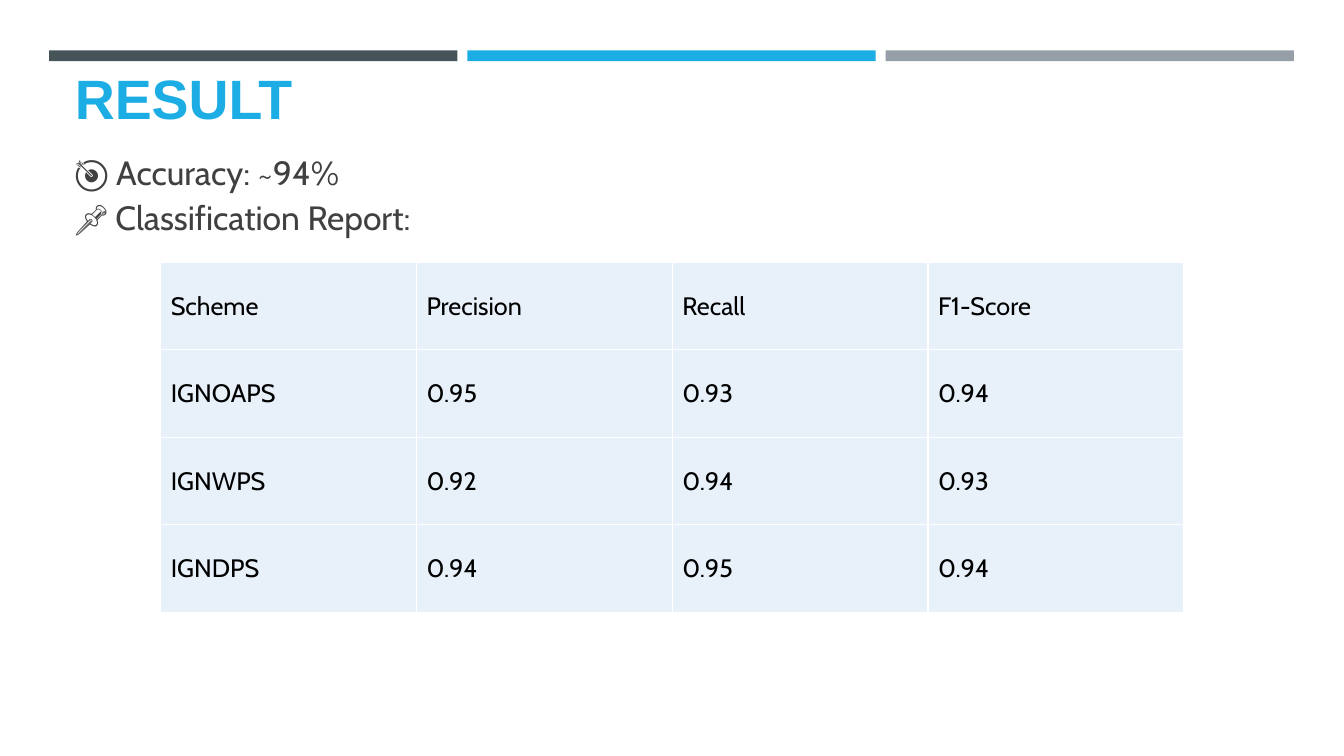
import pptx
import pptx.dml.color
import pptx.enum.shapes
import pptx.enum.text
import pptx.util
from pptx.util import Cm

THEME = {
    "dark": "465359", "accent": "1CADE4", "grey": "969FA7", "cell": "E8F1FA",
    "title": {"name": "Arial", "size": 39.6, "bold": True, "color": "1CADE4"},
    "body": {"name": "Cabin", "size": 24, "bold": False, "color": "404040"},
    "table": {"name": "Cabin", "size": 18, "bold": False, "color": "000000"},
}


def paint(fill, color):
    fill.solid()
    fill.fore_color.rgb = pptx.dml.color.RGBColor.from_string(color)


def write(text_frame, text, style):
    text_frame.text = text
    values = {"name": style["name"], "size": pptx.util.Pt(style["size"]), "bold": style["bold"]}
    for run in text_frame.paragraphs[0].runs:
        for attribute, value in values.items():
            setattr(run.font, attribute, value)
        paint(run.font.fill, style["color"])


presentation = pptx.Presentation()
presentation.slide_width, presentation.slide_height = Cm(33.87), Cm(19.05)
slide = presentation.slides.add_slide(presentation.slide_layouts[5])

# Bars across the top
for index, color in enumerate(("dark", "accent", "grey")):
    bar = slide.shapes.add_shape(
        pptx.enum.shapes.MSO_SHAPE.RECTANGLE,
        Cm(1.24 + index * 10.54), Cm(1.27), Cm(10.29), Cm(0.27))
    bar.shadow.inherit = False
    bar.line.fill.background()
    paint(bar.fill, THEME[color])

# Title
title = slide.shapes.title
title.left, title.top, title.width, title.height = Cm(1.63), Cm(1.96), Cm(30.63), Cm(1.47)
write(title.text_frame, "RESULT", THEME["title"])

# Accuracy and report heading, two lines of one paragraph
summary = slide.shapes.add_textbox(Cm(1.63), Cm(3.61), Cm(25.25), Cm(2.49))
write(summary.text_frame, "🎯 Accuracy: ~94%\v📌 Classification Report:", THEME["body"])
summary_paragraph = summary.text_frame.paragraphs[0]
summary_paragraph.line_spacing = 1.1
summary_paragraph.space_after = pptx.util.Pt(6)

anchors = pptx.enum.text.MSO_ANCHOR
for shape, anchor in ((title, anchors.BOTTOM), (summary, anchors.MIDDLE)):
    frame_format = {"word_wrap": True, "vertical_anchor": anchor,
                    "auto_size": pptx.enum.text.MSO_AUTO_SIZE.NONE}
    for attribute, value in frame_format.items():
        setattr(shape.text_frame, attribute, value)
    shape.text_frame.paragraphs[0].alignment = pptx.enum.text.PP_ALIGN.LEFT

# Classification report; the table style draws the white cell borders
report = (
    ("Scheme", "Precision", "Recall", "F1-Score"),
    ("IGNOAPS", "0.95", "0.93", "0.94"),
    ("IGNWPS", "0.92", "0.94", "0.93"),
    ("IGNDPS", "0.94", "0.95", "0.94"),
)
table = slide.shapes.add_table(
    len(report), len(report[0]), Cm(4.05), Cm(6.61), Cm(25.78), Cm(8.82)).table
table.first_row = False
table.horz_banding = False
for row, values in enumerate(report):
    for column, value in enumerate(values):
        cell = table.cell(row, column)
        cell.vertical_anchor = anchors.MIDDLE
        paint(cell.fill, THEME["cell"])
        write(cell.text_frame, value, THEME["table"])

presentation.save("out.pptx")
